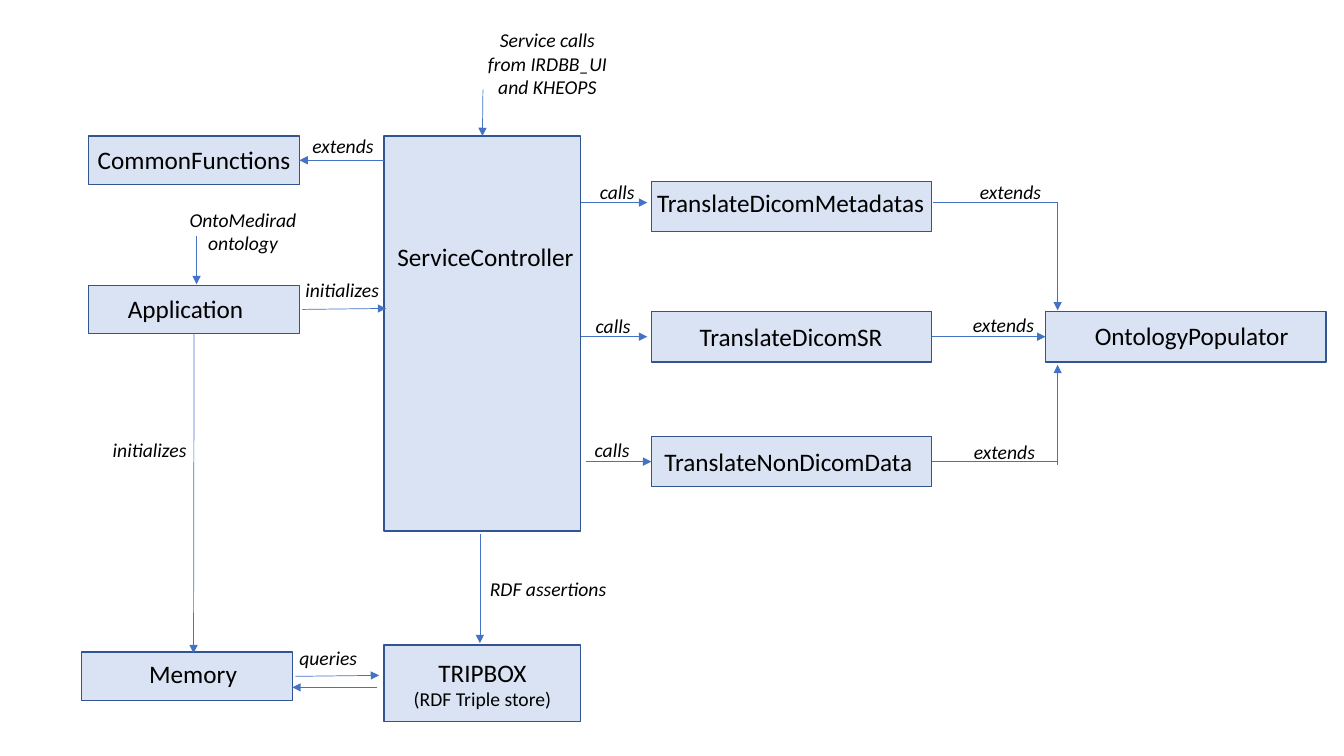
"""Draw the class diagram of the ontology translation service."""
from lxml import etree
from pptx import Presentation
from pptx import util as u
from pptx.dml.color import RGBColor
from pptx.enum import shapes, text
from pptx.oxml.ns import qn

BOX_FILL = RGBColor(0xDA, 0xE3, 0xF3)
BOX_LINE = RGBColor(0x32, 0x54, 0x91)
ARROW = RGBColor(0x44, 0x72, 0xC4)
BLACK = RGBColor(0, 0, 0)

CENTER = text.PP_ALIGN.CENTER
LEFT = text.PP_ALIGN.LEFT
TOP, LEFT_SIDE, BOTTOM, RIGHT_SIDE = range(4)


class Diagram:
    name_font = {"name": "Calibri", "size": u.Pt(18), "italic": False}
    note_font = {"name": "Calibri", "size": u.Pt(14), "italic": True}
    detail_font = {"name": "Calibri", "size": u.Pt(14), "italic": False}

    def __init__(self, prs):
        self.s = prs.slides.add_slide(prs.slide_layouts[6])

    def box(self, *at):
        sp = self.s.shapes.add_shape(
            shapes.MSO_SHAPE.RECTANGLE, *(u.Inches(v) for v in at))
        sp.shadow.inherit = False
        sp.fill.solid()
        sp.fill.fore_color.rgb = BOX_FILL
        sp.line.color.rgb = BOX_LINE
        sp.line.width = u.Pt(1)
        return sp

    def label(self, at, lines, align=LEFT, wrap=False):
        sp = self.s.shapes.add_textbox(*(u.Inches(v) for v in at))
        tf = sp.text_frame
        tf.word_wrap = wrap
        for i, (line, style) in enumerate(lines):
            p = tf.paragraphs[0] if i == 0 else tf.add_paragraph()
            p.alignment = align
            r = p.add_run()
            r.text = line
            for key, value in style.items():
                setattr(r.font, key, value)
            r.font.color.rgb = BLACK

    def name(self, at, line, align=CENTER):
        self.label(at, [(line, self.name_font)], align)

    def note(self, at, *lines, align=LEFT, wrap=False):
        self.label(at, [(line, self.note_font) for line in lines], align, wrap)

    def line(self, start, end, begin=None, finish=None, arrow=True):
        c = self.s.shapes.add_connector(
            shapes.MSO_CONNECTOR.STRAIGHT, *(u.Inches(v) for v in (*start, *end)))
        c.line.color.rgb = ARROW
        c.line.width = u.Pt(0.5)
        if arrow:
            etree.SubElement(c.line._get_or_add_ln(), qn("a:tailEnd"), type="triangle")
        etree.SubElement(c._element.spPr, qn("a:effectLst"))
        if begin:
            c.begin_connect(*begin)
        if finish:
            c.end_connect(*finish)


def main():
    prs = Presentation()
    prs.slide_width, prs.slide_height = u.Inches(13.33), u.Inches(7.5)
    d = Diagram(prs)

    controller = d.box(3.81, 1.35, 1.95, 3.92)
    d.box(3.81, 6.4, 1.95, 0.76)
    common = d.box(0.88, 1.35, 2.09, 0.48)
    application = d.box(0.88, 2.83, 2.09, 0.48)
    d.box(0.81, 6.47, 2.09, 0.48)
    metadatas, sr, non_dicom = [d.box(6.46, y, 2.78, 0.5) for y in (1.8, 3.09, 4.33)]
    populator = d.box(10.37, 3.09, 2.78, 0.5)

    d.label((3.84, 6.47, 1.89, 0.63),
            [("TRIPBOX", d.name_font), ("(RDF Triple store)", d.detail_font)], CENTER)
    for x, y, w, line in [
        (0.54, 1.38, 2.77, "CommonFunctions"),
        (1.1, 2.86, 1.48, "Application"),
        (3.72, 2.34, 2.19, "ServiceController"),
        (1.17, 6.48, 1.49, "Memory"),
    ]:
        d.name((x, y, w, 0.4), line)
    for x, y, w, line in [
        (6.42, 1.81, 2.93, "TranslateDicomMetadatas"),
        (6.84, 3.14, 2.09, "TranslateDicomSR"),
        (6.49, 4.38, 2.75, "TranslateNonDicomData"),
        (10.76, 3.13, 2.2, "OntologyPopulator"),
    ]:
        d.name((x, y, w, 0.4), line, LEFT)

    d.line((5.76, 2.01), (6.42, 2.01))
    d.line((5.76, 3.34), (6.42, 3.34))
    d.line((5.81, 4.58), (6.46, 4.58), finish=(non_dicom, LEFT_SIDE))
    d.line((9.25, 2.01), (10.48, 2.01), arrow=False)
    d.line((10.49, 2), (10.49, 3.08))
    d.line((9.24, 3.34), (10.37, 3.34), (sr, RIGHT_SIDE), (populator, LEFT_SIDE))
    d.line((9.24, 4.58), (10.49, 4.58), (non_dicom, RIGHT_SIDE), arrow=False)
    d.line((10.49, 4.61), (10.49, 3.62))
    d.line((3.81, 1.59), (2.97, 1.59), finish=(common, RIGHT_SIDE))
    d.line((3, 3.07), (3.83, 3.06))
    d.line((1.93, 3.31), (1.92, 6.48), (application, BOTTOM))
    d.line((2.93, 6.71), (3.76, 6.7))
    d.line((3.74, 6.82), (2.9, 6.82))
    d.line((4.76, 5.3), (4.76, 6.38))
    d.line((1.95, 2.34), (1.95, 2.82))
    d.line((4.79, 0.89), (4.79, 1.35), finish=(controller, TOP))

    for line, w, places in [
        ("extends", 0.82, [(9.62, 1.74), (9.55, 3.06), (9.56, 4.32), (3, 1.28)]),
        ("calls", 0.55, [(5.85, 1.74), (5.81, 3.07), (5.8, 4.3)]),
        ("initializes", 0.94, [(2.93, 2.71), (1.02, 4.3)]),
        ("queries", 0.78, [(2.87, 6.36)]),
        ("RDF assertions", 1.37, [(4.76, 5.67)]),
    ]:
        for x, y in places:
            d.note((x, y, w, 0.34), line)
    d.note((1.75, 2.01, 1.32, 0.57), "OntoMedirad", "ontology", align=CENTER)
    d.note((4.21, 0.23, 2.44, 0.81), "Service calls", "from IRDBB_UI", "and KHEOPS",
           align=CENTER, wrap=True)

    prs.save("out.pptx")


if __name__ == "__main__":
    main()
